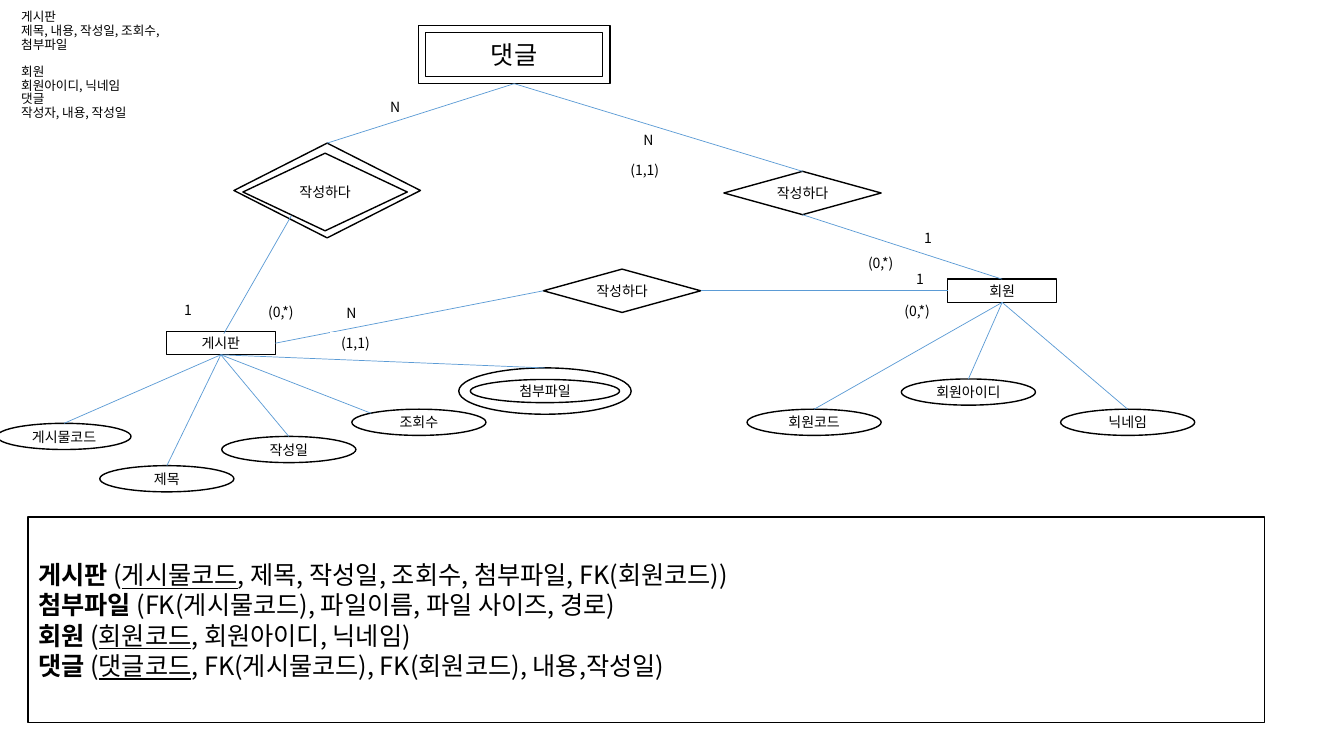
from pptx import Presentation
from pptx.dml.color import RGBColor
from pptx.enum.shapes import MSO_CONNECTOR, MSO_SHAPE
from pptx.enum.text import MSO_ANCHOR, MSO_AUTO_SIZE, PP_ALIGN
from pptx.oxml.ns import qn
from pptx.util import Inches, Pt
from lxml import etree

RECT, OVAL, RING = MSO_SHAPE.RECTANGLE, MSO_SHAPE.OVAL, MSO_SHAPE.DONUT
RHOMB, FRAME = MSO_SHAPE.DIAMOND, MSO_SHAPE.FRAME
MID, LEFT_AL, CENTER = MSO_ANCHOR.MIDDLE, PP_ALIGN.LEFT, PP_ALIGN.CENTER
TOP, LEFT, BOTTOM, RIGHT = range(4)
FONT, BLACK, WHITE, BLUE = "Noto Sans CJK KR", "000000", "FFFFFF", "5B9BD5"

# Notes at top left: text, space before in points
NOTES = [("게시판", 0), ("제목, 내용, 작성일, 조회수, 첨부파일", 0),
         ("회원", 9.8), ("회원아이디, 닉네임", 0),
         ("댓글", 0), ("작성자, 내용, 작성일", 0)]

# Default size of each kind of node
SIZES = {RECT: (1.08, 0.23), OVAL: (1.33, 0.26), RHOMB: (1.56, 0.43),
         RING: (1.71, 0.46), FRAME: (1.9, 0.58)}

# Nodes: key, kind, left, top, text
NODES = [
    ("board", RECT, 1.65, 3.29, "게시판"),
    ("post id", OVAL, -0.03, 4.2, "게시물코드"),
    ("title", OVAL, 0.99, 4.62, "제목"),
    ("date", OVAL, 2.2, 4.33, "작성일"),
    ("views", OVAL, 3.49, 4.06, "조회수"),
    ("files", RING, 4.55, 3.65, "첨부파일"),
    ("member", RECT, 9.4, 2.77, "회원"),
    ("code", OVAL, 7.41, 4.06, "회원코드"),
    ("login", OVAL, 8.94, 3.76, "회원아이디"),
    ("nick", OVAL, 10.52, 4.06, "닉네임"),
    ("post", RHOMB, 5.39, 2.67, "작성하다"),
    ("write", RHOMB, 7.18, 1.7, "작성하다"),
    ("reply", FRAME, 4.15, 0.25, "댓글"),
]
WEAK = [(2.32, 1.42, 1.85, 0.94, ""), (2.41, 1.52, 1.63, 0.77, "작성하다")]

# Links: each end is (key, side) or a point in inches
LINKS = [(("board", BOTTOM), (key, TOP))
         for key in ("title", "post id", "date", "files")]
LINKS += [(("member", BOTTOM), (key, TOP)) for key in ("code", "login", "nick")]
LINKS += [
    (("board", BOTTOM), (3.68, 4.1)),
    (("post", RIGHT), ("member", LEFT)),
    (("post", LEFT), ("board", RIGHT)),
    ((2.22, 3.31), (2.89, 2.14)),
    (("weak", TOP), ("reply", BOTTOM)),
    (("reply", BOTTOM), ("write", TOP)),
    (("write", BOTTOM), ("member", TOP)),
]

# Cardinalities: text, left, top, width, height
CARDS = [
    ("N", 3.33, 3.02, 0.31, 0.16), ("(1,1)", 3.28, 3.3, 0.49, 0.21),
    ("1", 8.97, 2.69, 0.31, 0.16), ("(0,*)", 8.84, 2.99, 0.51, 0.19),
    ("1", 1.71, 2.99, 0.31, 0.16), ("(0,*)", 2.53, 2.99, 0.51, 0.21),
    ("N", 6.29, 1.32, 0.28, 0.13), ("(1,1)", 6.14, 1.58, 0.51, 0.21),
    ("1", 9.05, 2.28, 0.31, 0.16), ("(0,*)", 8.48, 2.51, 0.51, 0.19),
    ("N", 3.78, 1.0, 0.28, 0.13),
]

# Relations: name, opening, key, rest
SCHEMA = [
    ("게시판 ", "(", "게시물코드", ", 제목, 작성일, 조회수, 첨부파일, FK(회원코드))"),
    ("첨부파일 ", "(FK(게시물코드), 파일이름, 파일 사이즈, 경로)", "", ""),
    ("회원 ", "(", "회원코드", ", 회원아이디, 닉네임)"),
    ("댓글 ", "(", "댓글코드", ", FK(게시물코드), FK(회원코드), 내용,작성일)"),
]


def color(code):
    return RGBColor.from_string(code)


def add_run(para, text, size, bold=False, under=False):
    run = para.add_run()
    run.text = text
    font = run.font
    font.size, font.bold, font.underline = Pt(size), bold, under
    font.color.rgb = color(BLACK)
    font.name = FONT
    east = etree.Element(qn("a:ea"), typeface=FONT)
    font._element.find(qn("a:latin")).addnext(east)


def add_node(kind, box, text="", size=10, edge=BLACK, pad=0):
    node = slide.shapes.add_shape(kind, *map(Inches, box))
    node.shadow.inherit = False
    node.fill.solid()
    node.fill.fore_color.rgb = color(WHITE)
    node.line.color.rgb = color(edge)
    node.line.width = Pt(1)
    frame = node.text_frame
    frame.word_wrap, frame.vertical_anchor = True, MID
    frame.margin_left = frame.margin_right = Inches(pad)
    frame.margin_top = frame.margin_bottom = Inches(pad / 2)
    if text:
        frame.paragraphs[0].alignment = CENTER
        add_run(frame.paragraphs[0], text, size)
    return node


def add_link(start, end):
    line = slide.shapes.add_connector(MSO_CONNECTOR.STRAIGHT, 0, 0, 0, 0)
    if start[0] in nodes:
        line.begin_connect(nodes[start[0]], start[1])
    else:
        line.begin_x, line.begin_y = map(Inches, start)
    if end[0] in nodes:
        line.end_connect(nodes[end[0]], end[1])
    else:
        line.end_x, line.end_y = map(Inches, end)
    line.line.color.rgb = color(BLUE)
    line.line.width = Pt(0.5)
    etree.SubElement(line._element.spPr, qn("a:effectLst"))


deck = Presentation()
deck.slide_width, deck.slide_height = Inches(13.33), Inches(7.5)
slide = deck.slides.add_slide(deck.slide_layouts[5])

# Notes in the title
head = slide.shapes.title
head.left, head.top, head.width, head.height = map(Inches, (0.11, 0.13, 1.75, 1.18))
frame = head.text_frame
frame.word_wrap, frame.auto_size = True, MSO_AUTO_SIZE.NONE
frame.vertical_anchor, frame.margin_bottom = MID, Inches(0.19)
for i, (text, gap) in enumerate(NOTES):
    para = frame.add_paragraph() if i else frame.paragraphs[0]
    para.alignment, para.line_spacing = LEFT_AL, 0.9
    para.space_before = Pt(gap)
    add_run(para, text, 9)

# Entities, attributes and relationships
nodes = {}
for key, kind, x, y, text in NODES:
    size = 18 if kind == FRAME else 10
    nodes[key] = add_node(kind, (x, y, *SIZES[kind]), text, size)
nodes["files"].adjustments[0] = 0.25
pair = [add_node(RHOMB, box, text) for *box, text in WEAK]
nodes["weak"] = pair[0]
slide.shapes.add_group_shape(pair)

# Links and cardinalities
for start, end in LINKS:
    add_link(start, end)
for text, *box in CARDS:
    add_node(RECT, box, text, edge=WHITE)

# Relational schema
panel = add_node(RECT, (0.28, 5.13, 12.26, 2.04), pad=0.1).text_frame
for i, (name, lead, key, rest) in enumerate(SCHEMA):
    para = panel.add_paragraph() if i else panel.paragraphs[0]
    para.alignment = LEFT_AL
    parts = [(name, True, False), (lead, False, False),
             (key, False, True), (rest, False, False)]
    for text, bold, under in parts:
        if text:
            add_run(para, text, 18, bold, under)

deck.save("out.pptx")
